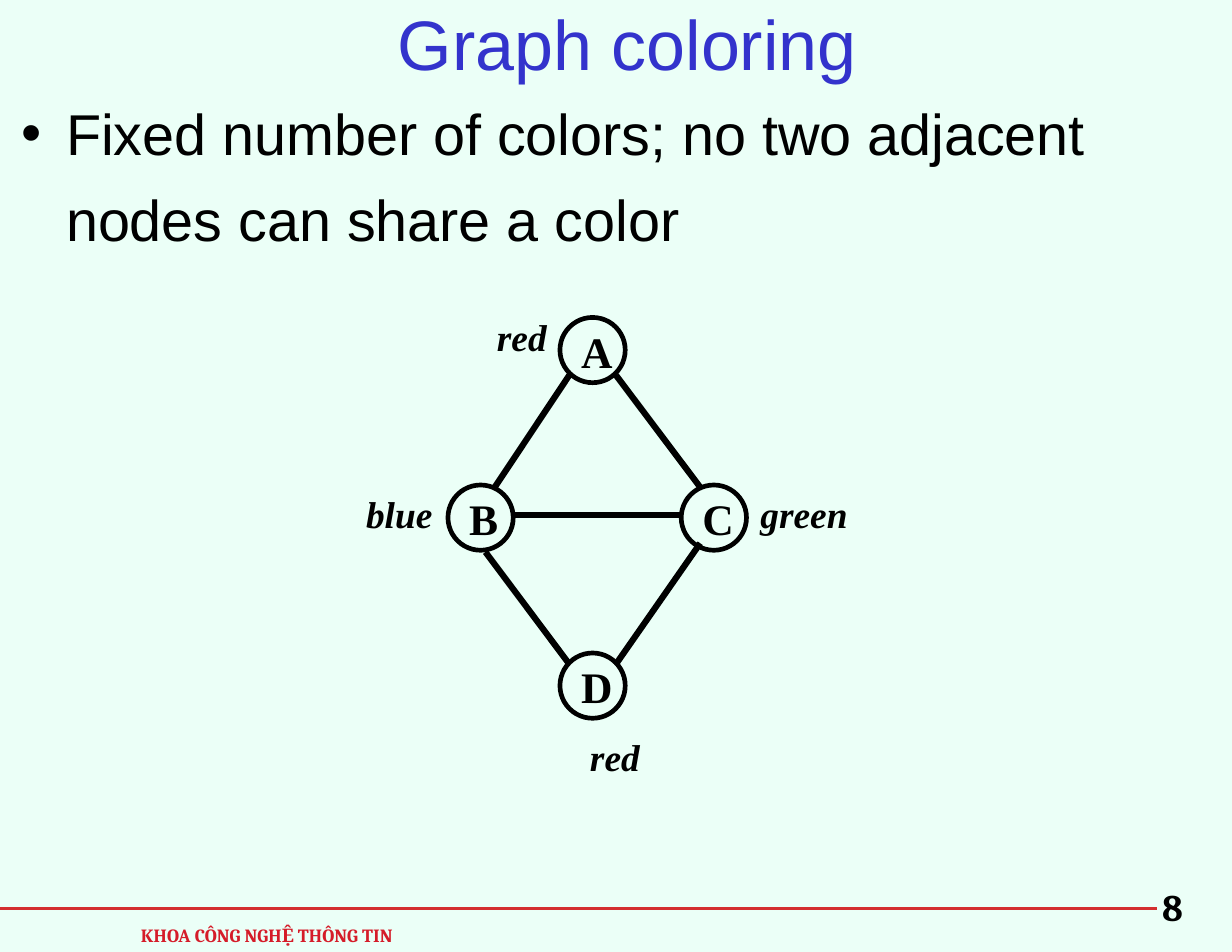
from lxml.etree import SubElement
from pptx import Presentation
from pptx.dml.color import RGBColor
from pptx.enum.shapes import MSO_CONNECTOR, MSO_SHAPE
from pptx.enum.text import MSO_ANCHOR, MSO_AUTO_SIZE, PP_ALIGN
from pptx.oxml.ns import qn
from pptx.util import Cm, Pt

BLACK = "000000"
DIAMETER = 1.48

# node: left, top
NODES = {"A": (12.7, 7.2), "B": (10.16, 11), "C": (15.45, 11), "D": (12.7, 14.81)}

# start and end of each line between nodes
EDGES = [
    (12.91, 8.51, 11.22, 11.05),
    (15.45, 11.68, 11.64, 11.68),
    (11.01, 12.52, 12.91, 15.06),
    (13.97, 8.51, 15.88, 11.05),
    (15.88, 12.32, 13.97, 15.06),
]

# colour name, left, top, width
COLOR_LABELS = [
    ("red", 11.02, 6.81, 1.63),
    ("red", 13.13, 16.33, 1.63),
    ("blue", 8.05, 10.82, 2.01),
    ("green", 16.99, 10.82, 2.49),
]


def color(value):
    return RGBColor.from_string(value)


class GraphSlide:
    serif = "Times New Roman"
    sans = "Arial"
    footer = "Cambria"

    def __init__(self, prs, background):
        self.s = prs.slides.add_slide(prs.slide_layouts[6])
        fill = self.s.background.fill
        fill.solid()
        fill.fore_color.rgb = color(background)

    def text(self, text, left, top, width, height, font, ink=BLACK, align=PP_ALIGN.CENTER,
             spacing=1.18, inset=(0.25, 0.13), bullet=False, **frame):
        sp = self.s.shapes.add_textbox(Cm(left), Cm(top), Cm(width), Cm(height))
        tf = sp.text_frame
        x, y = map(Cm, inset)
        settings = {"word_wrap": True, "auto_size": MSO_AUTO_SIZE.NONE,
                    "margin_left": x, "margin_right": x, "margin_top": y, "margin_bottom": y}
        for name, value in {**settings, **frame}.items():
            setattr(tf, name, value)
        p = tf.paragraphs[0]
        p.alignment = align
        p.line_spacing = spacing
        if bullet:
            self.bullet(p)
        r = p.add_run()
        r.text = text
        for name, value in font.items():
            setattr(r.font, name, value)
        r.font.color.rgb = color(ink)

    def bullet(self, p):
        pPr = p._p.get_or_add_pPr()
        pPr.set("marL", str(Cm(1.02)))
        pPr.set("indent", str(Cm(-1.02)))
        SubElement(pPr, qn("a:buFont"), typeface=self.sans)
        SubElement(pPr, qn("a:buChar"), char="•")

    def line(self, x1, y1, x2, y2, width=4, ink=BLACK):
        sp = self.s.shapes.add_connector(MSO_CONNECTOR.STRAIGHT, Cm(x1), Cm(y1), Cm(x2), Cm(y2))
        sp.line.color.rgb = color(ink)
        sp.line.width = Pt(width)
        SubElement(sp._element.spPr, qn("a:effectLst"))

    def node(self, name, left, top):
        """Draw a circle with its letter."""
        sp = self.s.shapes.add_shape(MSO_SHAPE.OVAL, Cm(left), Cm(top), Cm(DIAMETER), Cm(DIAMETER))
        sp.shadow.inherit = False
        sp.fill.background()
        sp.line.color.rgb = color(BLACK)
        sp.line.width = Pt(3)
        font = {"name": self.serif, "size": Pt(28), "bold": True}
        self.text(name, left + 0.23, top - 0.18, 1.22, 1.65, font,
                  align=PP_ALIGN.LEFT, word_wrap=False)

    def color_label(self, name, left, top, width):
        font = {"name": self.serif, "size": Pt(24), "bold": True, "italic": True}
        self.text(name, left, top, width, 1.45, font, word_wrap=False)


def main():
    prs = Presentation()
    prs.slide_width, prs.slide_height = Cm(27.94), Cm(21.59)
    slide = GraphSlide(prs, "EBFFF7")

    slide.line(0, 20.6, 26.24, 20.6, 2.25, "D32F2F")
    slide.text("KHOA CÔNG NGHỆ THÔNG TIN", 2.84, 20.73, 6.43, 0.86,
               {"name": slide.footer, "size": Pt(12), "bold": True}, "D51C29")
    slide.text("8", 25.6, 19.74, 1.98, 1.45,
               {"name": slide.footer, "size": Pt(24), "bold": True})

    slide.text("Graph coloring", 0.51, -0.64, 27.43, 2.74,
               {"name": slide.sans, "size": Pt(45)}, "3333CC", spacing=1.24,
               inset=(0.28, 0.15), vertical_anchor=MSO_ANCHOR.MIDDLE)
    slide.text("Fixed number of colors; no two adjacent nodes can share a color",
               0.2, 1.7, 27.74, 19.89, {"name": slide.sans, "size": Pt(37)},
               align=PP_ALIGN.LEFT, spacing=1.24, inset=(0.28, 0.15), bullet=True)

    for name, place in NODES.items():
        slide.node(name, *place)
    for edge in EDGES:
        slide.line(*edge)
    for label in COLOR_LABELS:
        slide.color_label(*label)

    prs.save("out.pptx")


if __name__ == "__main__":
    main()
